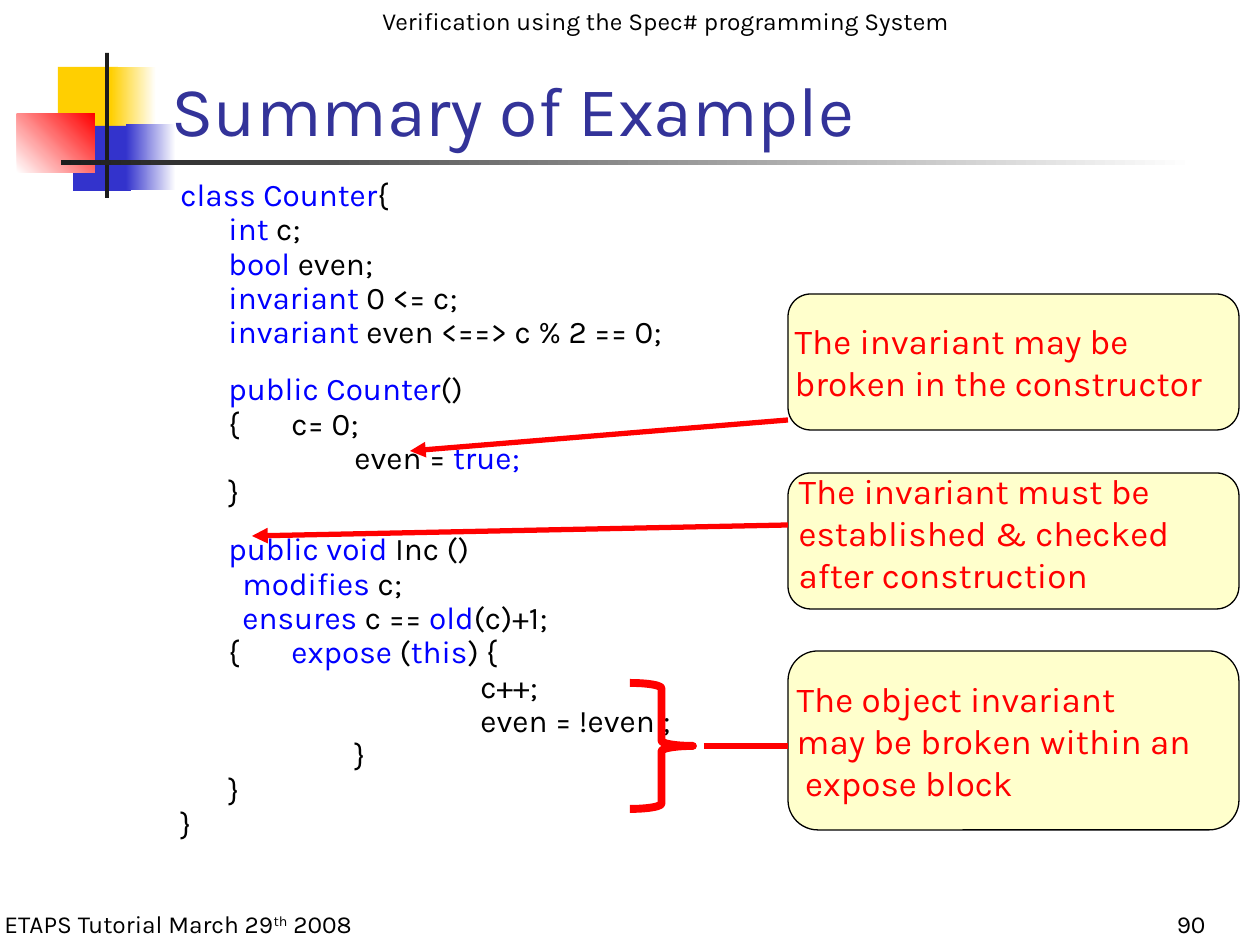
from lxml import etree
from pptx import Presentation
from pptx.dml.color import RGBColor
from pptx.enum.shapes import MSO_CONNECTOR, MSO_SHAPE
from pptx.enum.text import MSO_ANCHOR, PP_ALIGN
from pptx.oxml.ns import qn
from pptx.util import Pt

PX = 914400 // 126
FACE = "Karla"
RECT, CARD, BRACE = MSO_SHAPE.RECTANGLE, MSO_SHAPE.FLOWCHART_ALTERNATE_PROCESS, MSO_SHAPE.RIGHT_BRACE
STRAIGHT = MSO_CONNECTOR.STRAIGHT
TOP, MIDDLE, BOTTOM = MSO_ANCHOR.TOP, MSO_ANCHOR.MIDDLE, MSO_ANCHOR.BOTTOM
LEFT, RIGHT = PP_ALIGN.LEFT, PP_ALIGN.RIGHT

BLACK = RGBColor(0, 0, 0)
WHITE = RGBColor(255, 255, 255)
INK = RGBColor(0x1C, 0x1C, 0x1C)
GOLD = RGBColor(0xFF, 0xCF, 0x01)
BLUE = RGBColor(0x33, 0x33, 0xCC)
NAVY = RGBColor(0x33, 0x33, 0x99)
KEY = RGBColor(0, 0, 255)
RED = RGBColor(255, 0, 0)
CREAM = RGBColor(0xFF, 0xFF, 0xCC)

TITLE = ("Summary of Example", (159, 0, 1073, 157))
DECOR = [
    ((58, 67, 60, 65), (GOLD,), 0),
    ((111, 67, 45, 65), (GOLD, WHITE), 0),
    ((73, 126, 58, 65), (BLUE,), 0),
    ((126, 124, 50, 66), (BLUE, WHITE), 0),
    ((17, 114, 78, 59), (WHITE, RED), 45),
    ((105, 53, 4, 145), (INK,), 0),
    ((61, 160, 1134, 5), (INK, WHITE), 0),
]
NOTES = [
    (("ETAPS Tutorial March 29", "th", " 2008"), (-8, 903, 383, 43), LEFT, TOP),
    (("Verification using the Spec# programming System",), (370, 0, 605, 43), LEFT, TOP),
    (("90",), (1092, 903, 126, 42), RIGHT, BOTTOM),
]

# Keywords stand between bars; each line has a margin in px.
CODE_BOX = (168, 179, 892, 714)
CODE = [
    (0, "|class Counter|{"),
    (48, "|int |c;"),
    (48, "|bool |even;"),
    (48, "|invariant |0 <= c;"),
    (48, "|invariant |even <==> c % 2 == 0;"),
    (48, "|public Counter|()"),
    (48, "{\tc= 0;"),
    (174, "even = |true;"),
    (48, "}"),
    (48, "|public void |Inc ()"),
    (62, "|modifies |c;"),
    (62, "|ensures |c ==| old|(c)+1;"),
    (48, "{\t|expose |(|this|) {"),
    (300, "c++;"),
    (300, "even = !even ;"),
    (174, "}"),
    (48, "}"),
    (0, "}"),
]
CARDS = [
    ("The invariant may be\nbroken in the constructor", 294, 136, 0, 0),
    ("The invariant must be\nestablished & checked\nafter construction", 473, 136, 4, 17),
    ("The object invariant\nmay be broken within an\n expose block", 651, 179, 0, 0),
]
CARD_X, CARD_W = 788, 451
BRACE_BOX = (630, 683, 63, 126)
LINES = [
    ((410, 451, CARD_X, 420), True),
    ((252, 536, CARD_X, 525), True),
    ((704, 746, CARD_X, 746), False),
]


def emu(box):
    return [n * PX for n in box]


def style(run, size, color):
    run.font.name, run.font.size, run.font.color.rgb = FACE, Pt(size), color


def add_runs(para, parts, size, colors):
    for part, color in zip(parts, colors):
        if part:
            run = para.add_run()
            run.text = part
            style(run, size, color)


def add_box(box):
    frame = slide.shapes.add_textbox(*emu(box)).text_frame
    frame.word_wrap = True
    return frame


def add_shape(kind, box):
    shape = slide.shapes.add_shape(kind, *emu(box))
    shape.shadow.inherit = False
    return shape


prs = Presentation()
prs.slide_width, prs.slide_height = emu((1260, 945))
slide = prs.slides.add_slide(prs.slide_layouts[5])

for box, colors, angle in DECOR:
    shape = add_shape(RECT, box)
    shape.line.fill.background()
    if len(colors) == 1:
        shape.fill.solid()
        shape.fill.fore_color.rgb = colors[0]
    else:
        shape.fill.gradient()
        shape.fill.gradient_angle = angle
        for stop, color, place in zip(shape.fill.gradient_stops, colors, (0, 1)):
            stop.color.rgb, stop.position = color, place

title = slide.shapes.title
title.left, title.top, title.width, title.height = emu(TITLE[1])
title.text_frame.text = TITLE[0]
title.text_frame.vertical_anchor = BOTTOM
head = title.text_frame.paragraphs[0]
head.alignment = LEFT
style(head.runs[0], 40, NAVY)

for parts, box, align, anchor in NOTES:
    frame = add_box(box)
    frame.vertical_anchor = anchor
    para = frame.paragraphs[0]
    para.alignment = align
    add_runs(para, parts, 14, [BLACK] * len(parts))
    for run in para.runs[1:2]:
        run._r.get_or_add_rPr().set("baseline", "30000")

for text, top, height, left, low in CARDS:
    card = add_shape(CARD, (CARD_X, top, CARD_W, height))
    card.fill.solid()
    card.fill.fore_color.rgb = CREAM
    card.line.color.rgb, card.line.width = BLACK, Pt(0.75)
    frame = card.text_frame
    frame.word_wrap, frame.vertical_anchor = True, MIDDLE
    frame.margin_left, frame.margin_bottom = emu((left, low))
    frame.margin_right = frame.margin_top = 0
    frame.text = text
    for para in frame.paragraphs:
        para.alignment = LEFT
        style(para.runs[0], 20, RED)

frame = add_box(CODE_BOX)
for i, (margin, text) in enumerate(CODE):
    para = frame.paragraphs[0] if i == 0 else frame.add_paragraph()
    para.line_spacing = 0.7
    para.space_before = Pt(17.5 if text.startswith("|public") else 4.5)
    props = para._p.get_or_add_pPr()
    props.set("marL", str(margin * PX))
    props.set("indent", "0")
    parts = text.split("|")
    add_runs(para, parts, 18, [BLACK, KEY] * len(parts))

brace = add_shape(BRACE, BRACE_BOX)
brace.fill.background()
brace.line.color.rgb, brace.line.width = RED, Pt(4.5)

for ends, arrow in LINES:
    link = slide.shapes.add_connector(STRAIGHT, *emu(ends))
    link.line.color.rgb, link.line.width = RED, Pt(3)
    if arrow:
        etree.SubElement(link.line._get_or_add_ln(), qn("a:headEnd"), type="triangle")
    etree.SubElement(link._element.spPr, qn("a:effectLst"))

prs.save("out.pptx")
